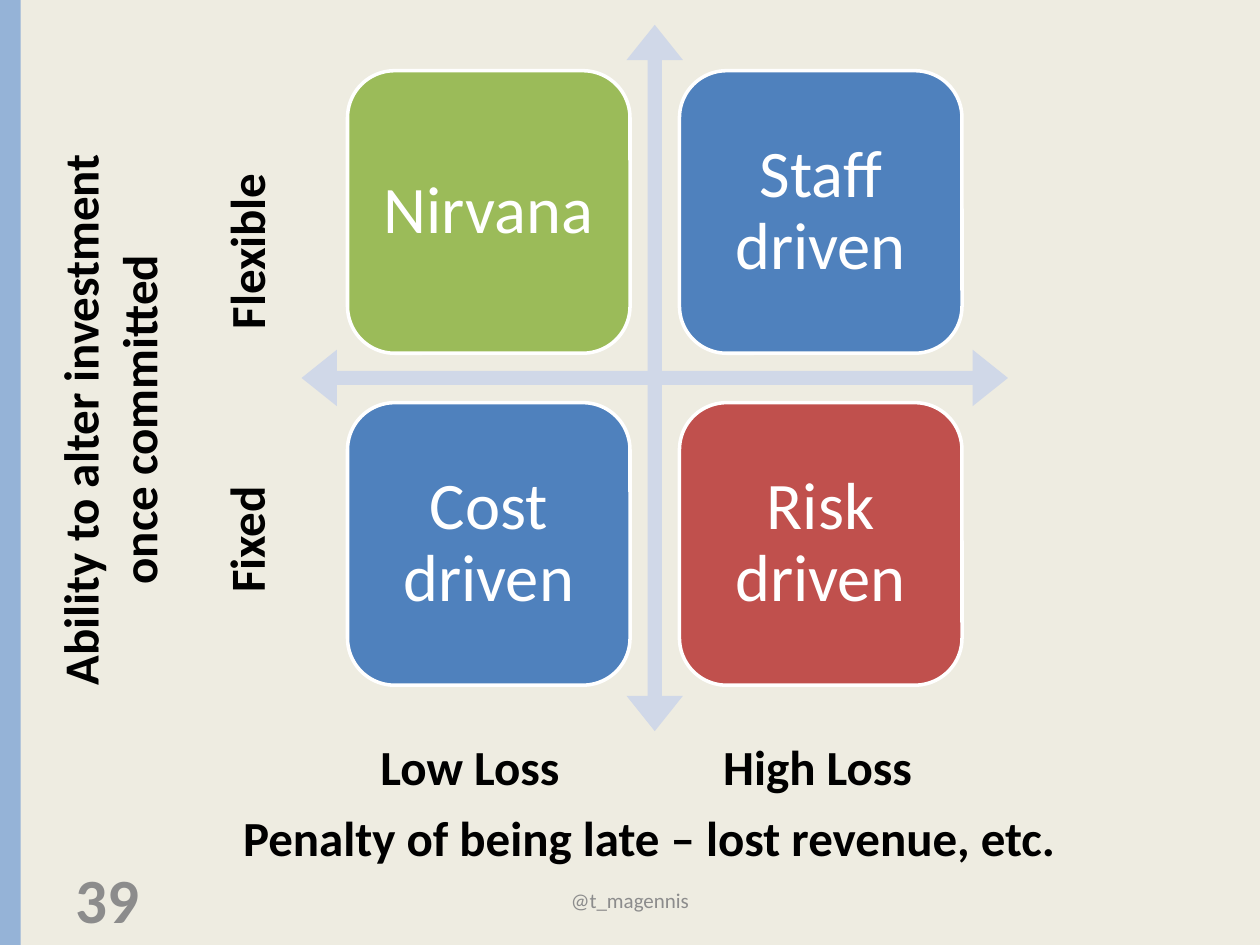
from pptx import Presentation
from pptx.dml.color import RGBColor
from pptx.enum.shapes import MSO_SHAPE
from pptx.enum.text import MSO_ANCHOR, PP_ALIGN
from pptx.util import Cm, Pt

RECTANGLE = MSO_SHAPE.RECTANGLE
QUAD_ARROW = MSO_SHAPE.QUAD_ARROW
ROUNDED = MSO_SHAPE.ROUNDED_RECTANGLE
TOP, MIDDLE = MSO_ANCHOR.TOP, MSO_ANCHOR.MIDDLE
LEFT, CENTER = PP_ALIGN.LEFT, PP_ALIGN.CENTER

CREAM = RGBColor(0xEE, 0xEC, 0xE1)
PALE_BLUE = RGBColor(0x95, 0xB3, 0xD7)
ARROW_BLUE = RGBColor(0xD0, 0xD8, 0xE8)
GREEN = RGBColor(0x9B, 0xBB, 0x59)
BLUE = RGBColor(0x4F, 0x81, 0xBD)
RED = RGBColor(0xC0, 0x50, 0x4D)
GREY = RGBColor(0x8C, 0x8C, 0x8C)
WHITE = RGBColor(0xFF, 0xFF, 0xFF)
BLACK = RGBColor(0x00, 0x00, 0x00)

TILES = [
    [("Nirvana", GREEN), ("Staff driven", BLUE)],
    [("Cost driven", BLUE), ("Risk driven", RED)],
]
# Shares of the matrix width
TILE_SHARE = 0.4
TILE_OFFSETS = (0.065, 0.535)

LABEL = {"size": Pt(28), "bold": True}
# text, box in cm, rotation, alignment, wrap
AXIS_LABELS = [
    ("Penalty of being late – lost revenue, etc.", (4.65, 16.15, 17.09, 1.45), 0, LEFT, False),
    ("Ability to alter investment once committed", (-3.94, 7.14, 12.27, 2.64), 270, CENTER, True),
    ("Flexible", (3.12, 4.32, 3.68, 1.45), 270, LEFT, False),
    ("Fixed", (3.61, 10.13, 2.69, 1.45), 270, LEFT, False),
    ("Low Loss", (7.42, 14.73, 4.19, 1.45), 0, LEFT, False),
    ("High Loss", (14.33, 14.73, 4.37, 1.45), 0, LEFT, False),
]


def lengths(box):
    return [Cm(value) for value in box]


def write(shape, text, color, align, anchor, font, wrap=True):
    frame = shape.text_frame
    frame.word_wrap = wrap
    frame.vertical_anchor = anchor
    para = frame.paragraphs[0]
    para.alignment = align
    span = para.add_run()
    span.text = text
    span.font.color.rgb = color
    for name, value in {"name": "Calibri", **font}.items():
        setattr(span.font, name, value)
    return para


def add_filled(page, kind, box, color):
    shape = page.shapes.add_shape(kind, *lengths(box))
    shape.shadow.inherit = False
    shape.fill.solid()
    shape.fill.fore_color.rgb = color
    shape.line.fill.background()
    return shape


def add_text(page, text, box, color, align, anchor, font, wrap=True, rotation=0):
    label = page.shapes.add_textbox(*lengths(box))
    label.rotation = rotation
    write(label, text, color, align, anchor, font, wrap)


def add_tile(page, text, box, color):
    tile = add_filled(page, ROUNDED, box, color)
    tile.line.color.rgb = WHITE
    tile.line.width = Pt(2)
    for side in ("left", "top", "right", "bottom"):
        setattr(tile.text_frame, f"margin_{side}", Cm(0.41))
    para = write(tile, text, WHITE, CENTER, MIDDLE, {"size": Pt(38)})
    para.line_spacing = 0.9


def add_matrix(page, left, top, side):
    """Draw the crossed axis arrows and the four tiles in a square."""
    arrows = add_filled(page, QUAD_ARROW, (left, top, side, side), ARROW_BLUE)
    for index, value in enumerate((0.02, 0.04, 0.05)):
        arrows.adjustments[index] = value
    size = side * TILE_SHARE
    for row, row_offset in zip(TILES, TILE_OFFSETS):
        for (text, color), column_offset in zip(row, TILE_OFFSETS):
            box = (left + side * column_offset, top + side * row_offset, size, size)
            add_tile(page, text, box, color)


def add_frame(page, height):
    """Draw the side band, the footer and the page number."""
    add_filled(page, RECTANGLE, (0, 0, 0.42, height), PALE_BLUE)
    footer_top = height - 1.4
    add_text(page, "@t_magennis", (8.68, footer_top, 8.04, 1.01), GREY, CENTER, MIDDLE,
             {"size": Pt(12)})
    add_text(page, "39", (1.27, footer_top - 0.05, 5.93, 1.01), GREY, LEFT, MIDDLE,
             {"size": Pt(36), "bold": True})


def main():
    deck = Presentation()
    deck.slide_width, deck.slide_height = Cm(25.4), Cm(19.05)
    page = deck.slides.add_slide(deck.slide_layouts[6])
    page.background.fill.solid()
    page.background.fill.fore_color.rgb = CREAM
    add_frame(page, 19.05)
    add_matrix(page, 6.08, 0.5, 14.24)
    for text, box, rotation, align, wrap in AXIS_LABELS:
        add_text(page, text, box, BLACK, align, TOP, LABEL, wrap, rotation)
    deck.save("out.pptx")


if __name__ == "__main__":
    main()
